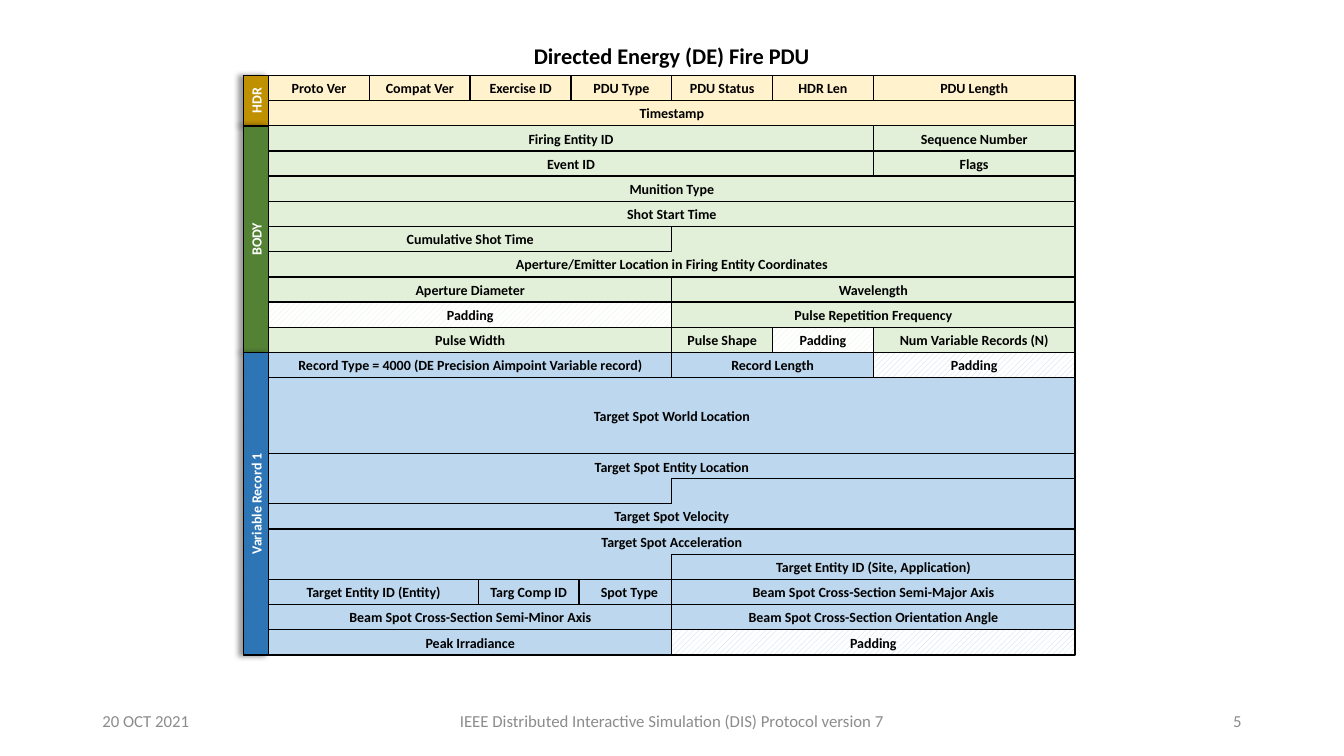
"""Build the Directed Energy Fire PDU layout slide."""
from lxml.etree import SubElement
from pptx import Presentation
from pptx.dml.color import RGBColor
from pptx.enum.dml import MSO_PATTERN as Pattern
from pptx.enum.shapes import MSO_SHAPE as Shape
from pptx.enum.text import MSO_ANCHOR as Anchor, PP_ALIGN as Align
from pptx.oxml.ns import qn
from pptx.util import Cm, Pt

BLACK = RGBColor(0x00, 0x00, 0x00)
WHITE = RGBColor(0xFF, 0xFF, 0xFF)
GRAY = RGBColor(0x8C, 0x8C, 0x8C)
GOLD = RGBColor(0xBF, 0x90, 0x00)
PALE_GOLD = RGBColor(0xFF, 0xF2, 0xCC)
GREEN = RGBColor(0x54, 0x82, 0x35)
PALE_GREEN = RGBColor(0xE2, 0xF0, 0xD9)
BLUE = RGBColor(0x2E, 0x75, 0xB6)
PALE_BLUE = RGBColor(0xBD, 0xD7, 0xEE)

LEFT, TOP = Cm(6.77), Cm(1.9)
BYTE = Cm(2.54)
ROW = BYTE // 4

# Section: name, first row, rows, label colour, field colour, fields.
# Field: name, first byte, row, bytes, rows.
SECTIONS = [
    ("HDR", 0, 2, GOLD, PALE_GOLD, [
        ("Proto Ver", 0, 0, 1, 1),
        ("Compat Ver", 1, 0, 1, 1),
        ("Exercise ID", 2, 0, 1, 1),
        ("PDU Type", 3, 0, 1, 1),
        ("PDU Status", 4, 0, 1, 1),
        ("HDR Len", 5, 0, 1, 1),
        ("PDU Length", 6, 0, 2, 1),
        ("Timestamp", 0, 1, 8, 1),
    ]),
    ("BODY", 2, 9, GREEN, PALE_GREEN, [
        ("Firing Entity ID", 0, 2, 6, 1),
        ("Sequence Number", 6, 2, 2, 1),
        ("Event ID", 0, 3, 6, 1),
        ("Flags", 6, 3, 2, 1),
        ("Munition Type", 0, 4, 8, 1),
        ("Shot Start Time", 0, 5, 8, 1),
        ("Aperture/Emitter Location in Firing Entity Coordinates", 0, 6, 8, 2),
        ("Cumulative Shot Time", 0, 6, 4, 1),
        ("Aperture Diameter", 0, 8, 4, 1),
        ("Wavelength", 4, 8, 4, 1),
        ("Padding", 0, 9, 4, 1),
        ("Pulse Repetition Frequency", 4, 9, 4, 1),
        ("Pulse Width", 0, 10, 4, 1),
        ("Pulse Shape", 4, 10, 1, 1),
        ("Padding", 5, 10, 1, 1),
        ("Num Variable Records (N)", 6, 10, 2, 1),
    ]),
    ("Variable Record 1", 11, 12, BLUE, PALE_BLUE, [
        ("Record Type = 4000 (DE Precision Aimpoint Variable record)", 0, 11, 4, 1),
        ("Record Length", 4, 11, 2, 1),
        ("Padding", 6, 11, 2, 1),
        ("Target Spot World Location", 0, 12, 8, 3),
        ("Target Spot Entity Location", 0, 15, 8, 2),
        ("Target Spot Acceleration", 0, 18, 8, 2),
        ("Target Spot Velocity", 0, 16, 8, 2),
        ("Target Entity ID (Site, Application)", 4, 19, 4, 1),
        ("Target Entity ID (Entity)", 0, 20, 2.08, 1),
        ("Targ Comp ID", 2.08, 20, 1, 1),
        ("Spot Type", 3.08, 20, 1, 1),
        ("Beam Spot Cross-Section Semi-Major Axis", 4, 20, 4, 1),
        ("Beam Spot Cross-Section Semi-Minor Axis", 0, 21, 4, 1),
        ("Beam Spot Cross-Section Orientation Angle", 4, 21, 4, 1),
        ("Peak Irradiance", 0, 22, 4, 1),
        ("Padding", 4, 22, 4, 1),
    ]),
]
ANCHORS = {
    "Aperture/Emitter Location in Firing Entity Coordinates": Anchor.BOTTOM,
    "Target Spot Entity Location": Anchor.TOP,
    "Target Spot Acceleration": Anchor.TOP,
}


def write(shape, text, size, color, bold=True, align=Align.CENTER, anchor=Anchor.MIDDLE):
    frame = shape.text_frame
    frame.word_wrap = True
    frame.vertical_anchor = anchor
    paragraph = frame.paragraphs[0]
    paragraph.text = text
    paragraph.alignment = align
    font = paragraph.font
    font.name, font.size, font.bold = "Calibri", Pt(size), bold
    font.color.rgb = color


def add_block(kind, left, top, width, height, color):
    shape = slide.shapes.add_shape(kind, int(left), int(top), int(width), int(height))
    shape.fill.solid()
    shape.fill.fore_color.rgb = color
    shape.line.color.rgb = BLACK
    shape.line.width = Pt(1)
    shape.shadow.inherit = False
    return shape


presentation = Presentation()
presentation.slide_width, presentation.slide_height = Cm(33.87), Cm(19.05)
slide = presentation.slides.add_slide(presentation.slide_layouts[6])

for section, first_row, row_count, label_color, field_color, fields in SECTIONS:
    length = row_count * ROW
    center_y = TOP + first_row * ROW + length / 2
    label = add_block(Shape.RECTANGLE, LEFT - ROW / 2 - length / 2,
                      center_y - ROW / 2, length, ROW, label_color)
    label.rotation = 270
    write(label, section, 10, WHITE)
    effects = label._element.spPr.find(qn("a:effectLst"))
    shadow = SubElement(effects, qn("a:outerShdw"), blurRad=str(Pt(4)),
                        dist=str(Pt(3)), dir="10800000", rotWithShape="0")
    shadow_color = SubElement(shadow, qn("a:srgbClr"), val="000000")
    SubElement(shadow_color, qn("a:alpha"), val="40000")

    for name, byte, row, byte_count, rows in fields:
        stepped = name == "Target Spot Velocity"
        field = add_block(Shape.CORNER if stepped else Shape.RECTANGLE,
                          LEFT + byte * BYTE, TOP + row * ROW,
                          byte_count * BYTE, rows * ROW, field_color)
        if stepped:
            field.adjustments[0], field.adjustments[1] = 0.5, 8
            field._element.spPr.find(qn("a:xfrm")).set("flipH", "1")
        if name == "Padding":
            field.fill.patterned()
            field.fill.pattern = Pattern.WIDE_UPWARD_DIAGONAL
            field.fill.fore_color.rgb = field_color
            field.fill.back_color.rgb = WHITE
        write(field, name, 10, BLACK, anchor=ANCHORS.get(name, Anchor.MIDDLE))

title = slide.shapes.add_textbox(Cm(11.85), Cm(1.07), 4 * BYTE, ROW)
write(title, "Directed Energy (DE) Fire PDU", 16, BLACK)

for text, left, width, align in [
    ("20 OCT 2021", 2.33, 7.62, Align.LEFT),
    ("IEEE Distributed Interactive Simulation (DIS) Protocol version 7",
     11.22, 11.43, Align.CENTER),
    ("5", 23.92, 7.62, Align.RIGHT),
]:
    footer = slide.shapes.add_textbox(Cm(left), Cm(17.66), Cm(width), Cm(1.01))
    write(footer, text, 12, GRAY, bold=False, align=align)

presentation.save("out.pptx")
